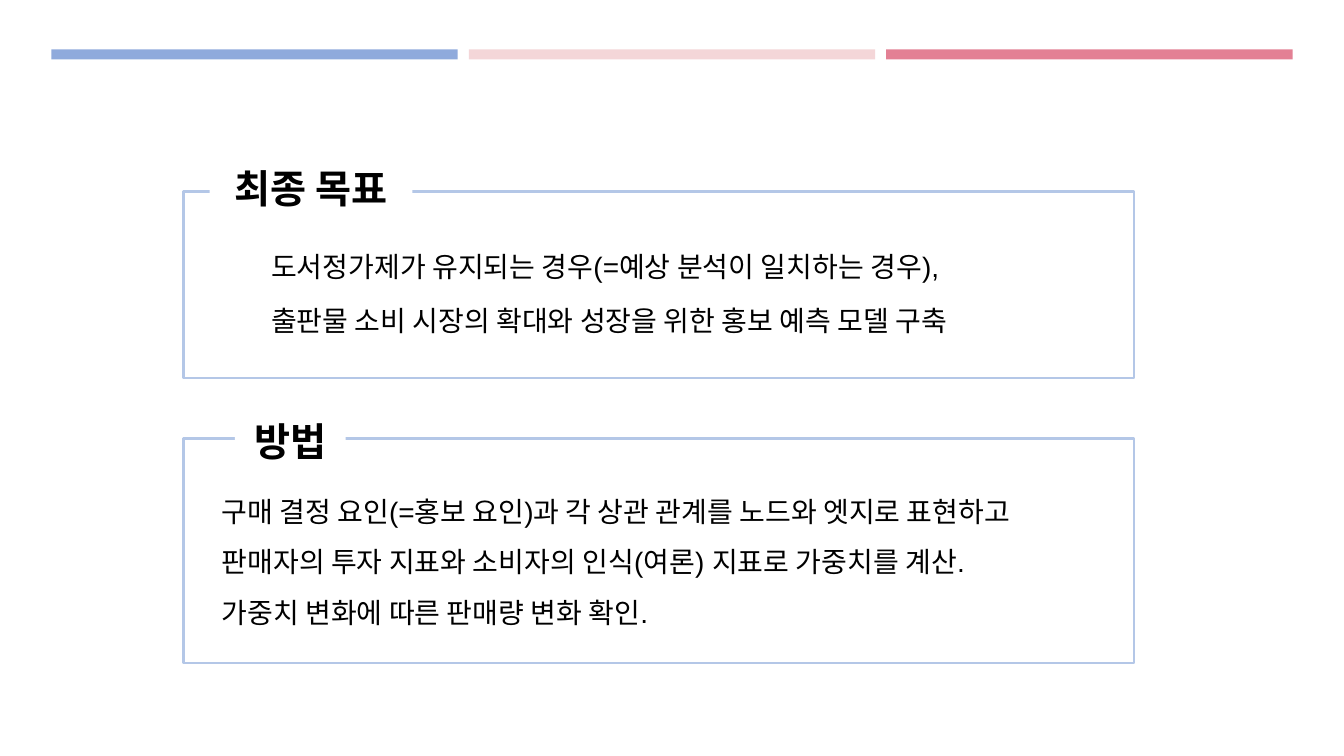
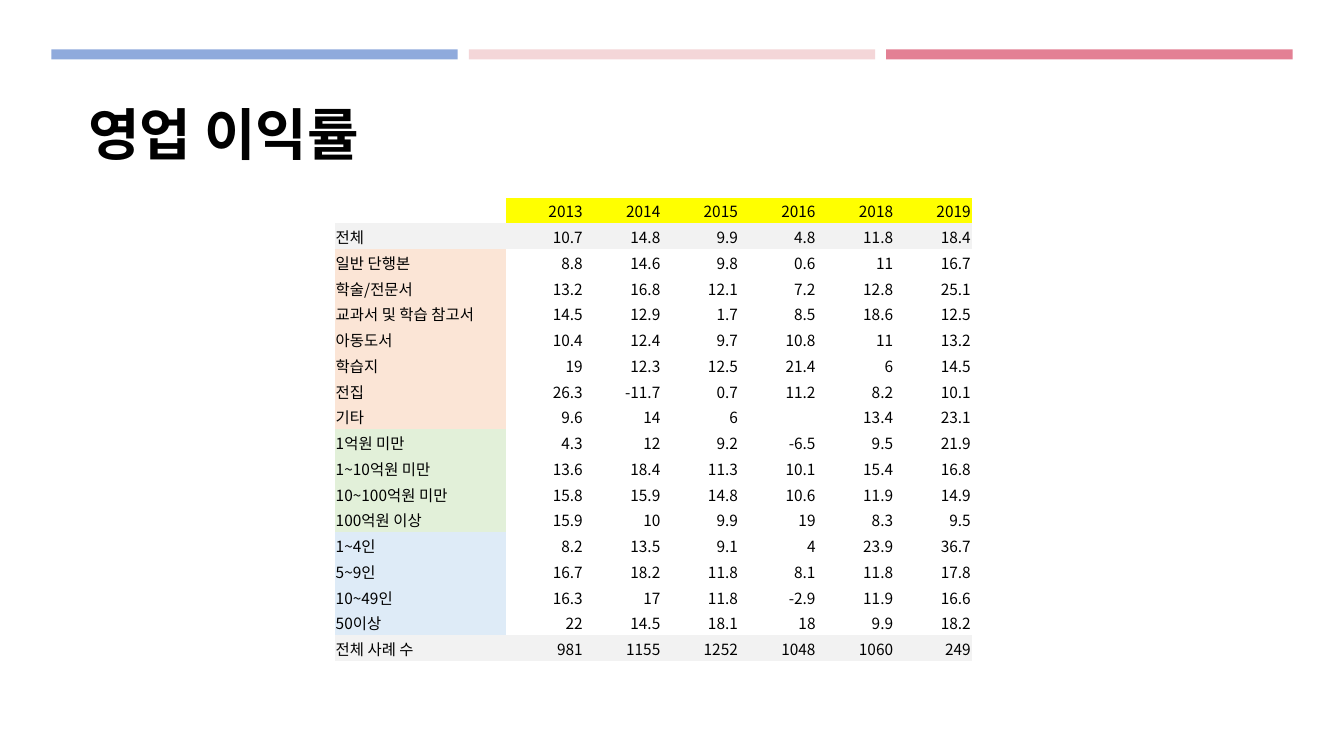
from pptx import Presentation
from pptx.dml.color import RGBColor
from pptx.enum.shapes import MSO_SHAPE as Shape
from pptx.enum.text import MSO_ANCHOR as Anchor, MSO_AUTO_SIZE as AutoSize, PP_ALIGN as Align
from pptx.util import Inches, Pt

BLACK = RGBColor(0x00, 0x00, 0x00)
WHITE = RGBColor(0xFF, 0xFF, 0xFF)
BLUE = RGBColor(0x8F, 0xAA, 0xDC)
PINK = RGBColor(0xF4, 0xD6, 0xD8)
ROSE = RGBColor(0xE3, 0x80, 0x94)
FRAME_BLUE = RGBColor(0xB4, 0xC7, 0xE7)
YELLOW = RGBColor(0xFF, 0xFF, 0x00)
GRAY = RGBColor(0xF2, 0xF2, 0xF2)
PEACH = RGBColor(0xFB, 0xE5, 0xD6)
GREEN = RGBColor(0xE2, 0xF0, 0xD9)
SKY = RGBColor(0xDE, 0xEB, 0xF7)

HEADING_FONT = "Noto Sans CJK KR"
TITLE = {"name": HEADING_FONT, "size": Pt(40), "bold": True}
LABEL = {"name": HEADING_FONT, "size": Pt(28), "bold": True}
BODY = {"name": "Arial", "size": Pt(20)}
CELL = {"name": HEADING_FONT, "size": Pt(11)}
NO_GRID_STYLE = "{2D5ABB26-0587-4C30-8999-92F81FD0307C}"

YEARS = ["", "2013", "2014", "2015", "2016", "2018", "2019"]
GROUPS = [
    (GRAY, [["전체", "10.7", "14.8", "9.9", "4.8", "11.8", "18.4"]]),
    (PEACH, [
        ["일반 단행본", "8.8", "14.6", "9.8", "0.6", "11", "16.7"],
        ["학술/전문서", "13.2", "16.8", "12.1", "7.2", "12.8", "25.1"],
        ["교과서 및 학습 참고서", "14.5", "12.9", "1.7", "8.5", "18.6", "12.5"],
        ["아동도서", "10.4", "12.4", "9.7", "10.8", "11", "13.2"],
        ["학습지", "19", "12.3", "12.5", "21.4", "6", "14.5"],
        ["전집", "26.3", "-11.7", "0.7", "11.2", "8.2", "10.1"],
        ["기타", "9.6", "14", "6", "", "13.4", "23.1"],
    ]),
    (GREEN, [
        ["1억원 미만", "4.3", "12", "9.2", "-6.5", "9.5", "21.9"],
        ["1~10억원 미만", "13.6", "18.4", "11.3", "10.1", "15.4", "16.8"],
        ["10~100억원 미만", "15.8", "15.9", "14.8", "10.6", "11.9", "14.9"],
        ["100억원 이상", "15.9", "10", "9.9", "19", "8.3", "9.5"],
    ]),
    (SKY, [
        ["1~4인", "8.2", "13.5", "9.1", "4", "23.9", "36.7"],
        ["5~9인", "16.7", "18.2", "11.8", "8.1", "11.8", "17.8"],
        ["10~49인", "16.3", "17", "11.8", "-2.9", "11.9", "16.6"],
        ["50이상", "22", "14.5", "18.1", "18", "9.9", "18.2"],
    ]),
    (GRAY, [["전체 사례 수", "981", "1155", "1252", "1048", "1060", "249"]]),
]


def write(para, text, style):
    span = para.add_run()
    span.text = text
    for key, value in style.items():
        setattr(span.font, key, value)
    span.font.color.rgb = BLACK


def add_rect(page, left, top, width, height):
    rect = page.shapes.add_shape(
        Shape.RECTANGLE, Inches(left), Inches(top), Inches(width), Inches(height))
    rect.shadow.inherit = False
    return rect


def add_text(page, left, top, width, height, lines, style, wrap=True, **format_values):
    box = page.shapes.add_textbox(Inches(left), Inches(top), Inches(width), Inches(height))
    frame = box.text_frame
    frame.word_wrap = wrap
    frame.auto_size = AutoSize.SHAPE_TO_FIT_TEXT
    for index, line in enumerate(lines):
        para = frame.add_paragraph() if index else frame.paragraphs[0]
        for key, value in format_values.items():
            setattr(para, key, value)
        write(para, line, style)
    return box


def add_bands(page, layout, left=0.51, top=0.49, width=4.03, pitch=4.14):
    for index, color in enumerate([BLUE, PINK, ROSE]):
        band = add_rect(page, left + index * pitch, top, width, 0.1)
        band.fill.solid()
        band.fill.fore_color.rgb = color
        band.line.fill.background()
        layout.shapes._spTree.append(band._element)


def add_panel(page, left, top, width, height, label, label_box, lines, body_box, **body_format):
    panel = add_rect(page, left, top, width, height)
    panel.fill.background()
    panel.line.color.rgb = FRAME_BLUE
    panel.line.width = Pt(1.75)
    label_left, label_top, label_width, label_height = label_box
    heading = add_text(page, left + label_left, top + label_top, label_width, label_height,
                       [label], LABEL, alignment=Align.CENTER, line_spacing=1.6)
    heading.fill.solid()
    heading.fill.fore_color.rgb = WHITE
    body_left, body_top, body_width, body_height = body_box
    add_text(page, left + body_left, top + body_top, body_width, body_height,
             lines, BODY, **body_format)


def fill_cell(cell, text, color, align):
    cell.margin_left = cell.margin_right = cell.margin_top = Inches(0.01)
    cell.margin_bottom = 0
    cell.vertical_anchor = Anchor.MIDDLE
    if color is None:
        cell.fill.background()
    else:
        cell.fill.solid()
        cell.fill.fore_color.rgb = color
    para = cell.text_frame.paragraphs[0]
    para.alignment = align
    if text:
        write(para, text, CELL)
    else:
        para._p.get_or_add_endParaRPr().set("sz", "1100")


def add_margin_table(page, left, top, width, height, label_width=1.7):
    rows = [(None, YEARS, YELLOW)]
    for color, records in GROUPS:
        rows += [(color, record, color if color == GRAY else None) for record in records]
    table = page.shapes.add_table(
        len(rows), len(YEARS), Inches(left), Inches(top), Inches(width), Inches(height)).table
    table.first_row = table.horz_banding = False
    table._tbl.tblPr[0].text = NO_GRID_STYLE
    year_width = (width - label_width) / (len(YEARS) - 1)
    for index, column in enumerate(table.columns):
        column.width = Inches(year_width if index else label_width)
    for index, (label_color, values, value_color) in enumerate(rows):
        table.rows[index].height = Inches(height / len(rows))
        for position, text in enumerate(values):
            fill_cell(table.cell(index, position), text,
                      value_color if position else label_color,
                      Align.RIGHT if position else Align.LEFT)


def build_goal_page(page):
    add_panel(page, 1.82, 1.9, 9.43, 1.85, "최종 목표", (0.26, -0.6, 2.01, 0.75), [
        "도서정가제가 유지되는 경우(=예상 분석이 일치하는 경우),",
        "출판물 소비 시장의 확대와 성장을 위한 홍보 예측 모델 구축",
    ], (0.77, 0.33, 7.81, 1.1), line_spacing=1.6)
    add_panel(page, 1.82, 4.35, 9.43, 2.23, "방법", (0.51, -0.54, 1.1, 0.75), [
        "구매 결정 요인(=홍보 요인)과 각 상관 관계를 노드와 엣지로 표현하고",
        "판매자의 투자 지표와 소비자의 인식(여론) 지표로 가중치를 계산.",
        "가중치 변화에 따른 판매량 변화 확인.",
    ], (0.28, 0.34, 8.99, 1.55), line_spacing=1.5, alignment=Align.JUSTIFY)


def build_margin_page(page):
    add_margin_table(page, 3.32, 1.96, 6.32, 4.6)
    add_text(page, 0.78, 0.94, 3.2, 0.77, ["영업 이익률"], TITLE, wrap=False)


def main():
    deck = Presentation()
    deck.slide_width, deck.slide_height = Inches(13.33), Inches(7.5)
    layout = deck.slide_layouts[6]
    goal_page, margin_page = [deck.slides.add_slide(layout) for _ in range(2)]
    add_bands(goal_page, layout)
    build_goal_page(goal_page)
    build_margin_page(margin_page)
    deck.save("out.pptx")


if __name__ == "__main__":
    main()
